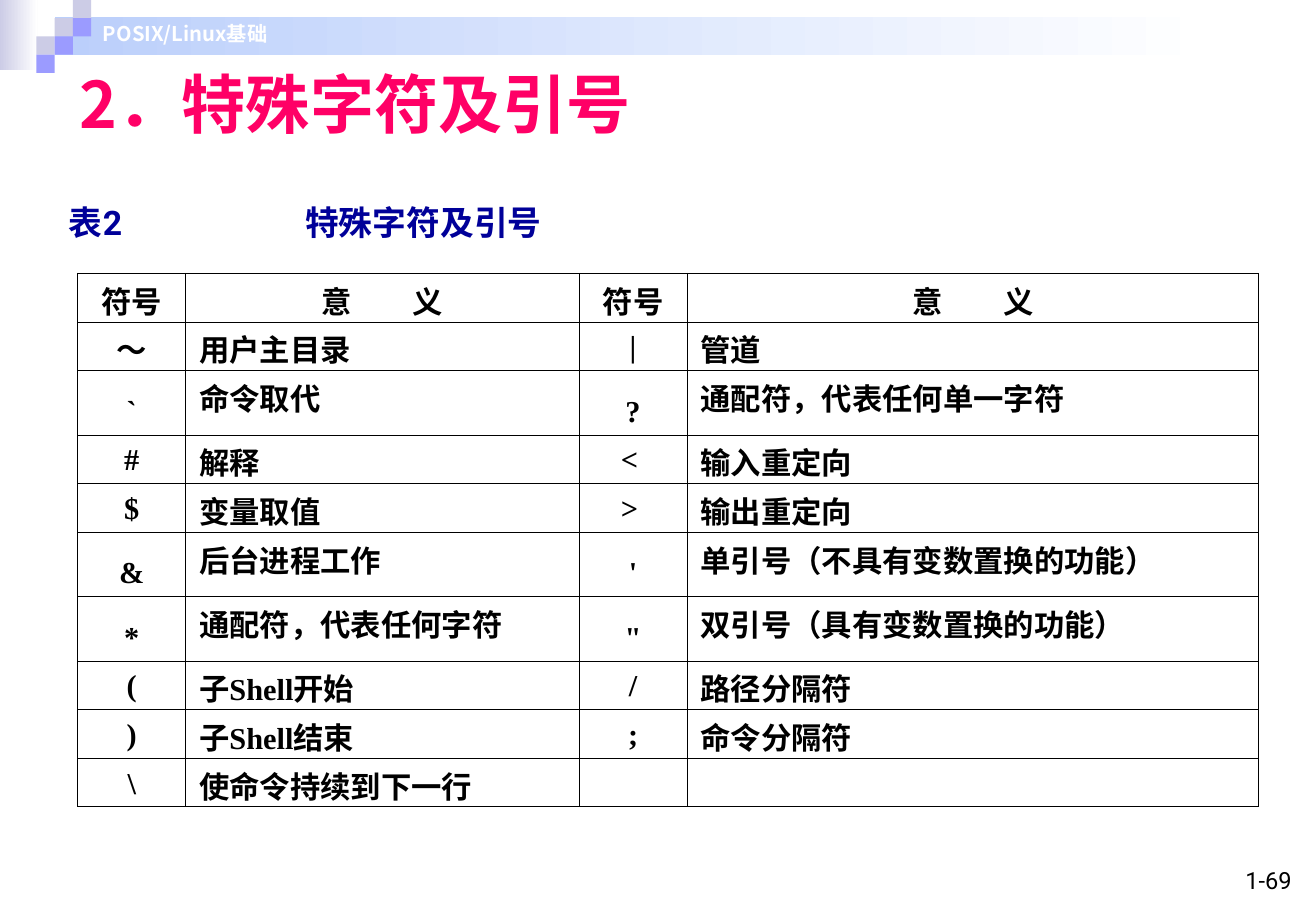
from dataclasses import dataclass

from lxml import etree
from pptx import Presentation
from pptx import util as u
from pptx.dml.color import RGBColor
from pptx.enum import shapes, text
from pptx.oxml import ns


@dataclass(frozen=True)
class Theme:
    title: str = "FF0066"
    caption: str = "000099"
    ink: str = "000000"
    white: str = "FFFFFF"
    pale: str = "CCCCE6"
    violet: str = "9B9BFF"
    band: str = "BBCFFB"
    shadow: str = "808080"
    cjk: str = "Noto Sans CJK SC"
    header_font: str = "Noto Sans CJK JP"
    sans: str = "Roboto"
    serif: str = "Times New Roman"
    title_size: int = 38
    caption_size: int = 20
    cell_size: int = 18
    page_size: int = 14
    header_size: int = 12


T = Theme()
ALIGN = text.PP_ALIGN
ANCHOR = text.MSO_ANCHOR
SQUARE = 0.15
COLUMNS = [0.89, 3.24, 0.89, 4.71]
SHORT_ROW, TALL_ROW = 0.4, 0.53
TALL_ROWS = {2, 5, 6}
HEADINGS = ["符号", "意义", "符号", "意义"]
ROWS = [
    ["～", ["用户主目录"], "|", ["管道"]],
    ["`", ["命令取代"], "?", ["通配符，代表任何单一字符"]],
    ["#", ["解释"], "<", ["输入重定向"]],
    ["$", ["变量取值"], ">", ["输出重定向"]],
    ["&", ["后台进程工作"], "'", ["单引号（不具有变数置换的功能）"]],
    ["*", ["通配符，代表任何字符"], '"', ["双引号（具有变数置换的功能）"]],
    ["(", ["子", "Shell", "开始"], "/", ["路径分隔符"]],
    [")", ["子", "Shell", "结束"], ";", ["命令分隔符"]],
    ["\\", ["使命令持续到下一行"], "", []],
]


def add_xml(parent, tag, **attrs):
    return etree.SubElement(parent, ns.qn(tag), attrs)


def add_run(p, content, size, font, color, bold=True):
    r = p.add_run()
    r.text = content
    r.font.size = u.Pt(size)
    r.font.bold = bold
    r.font.color.rgb = RGBColor.from_string(color)
    r.font.name = font
    east_asian = T.cjk if font in (T.sans, T.serif) else font
    add_xml(r.font._element, "a:ea", typeface=east_asian)
    return r


def add_text(s, box, content, size, font, color, anchor, align=ALIGN.LEFT,
             bold=True, center_tab=None):
    sp = s.shapes.add_textbox(*map(u.Inches, box))
    tf = sp.text_frame
    tf.word_wrap = True
    tf.vertical_anchor = anchor
    p = tf.paragraphs[0]
    p.alignment = align
    if center_tab:
        tabs = add_xml(p._p.get_or_add_pPr(), "a:tabLst")
        add_xml(tabs, "a:tab", pos=str(u.Inches(center_tab)), algn="ctr")
    return add_run(p, content, size, font, color, bold)


def add_text_shadow(r):
    effects = etree.Element(ns.qn("a:effectLst"))
    shadow = add_xml(effects, "a:outerShdw", dist="17961", dir="2700000")
    add_xml(shadow, "a:srgbClr", val=T.shadow)
    r.font._element.find(ns.qn("a:solidFill")).addnext(effects)


def add_rect(s, box, color, fade=False):
    sp = s.shapes.add_shape(shapes.MSO_SHAPE.RECTANGLE, *map(u.Inches, box))
    sp.shadow.inherit = False
    sp.line.fill.background()
    if fade:
        sp.fill.gradient()
        sp.fill.gradient_angle = 0
        for stop, shade, position in zip(sp.fill.gradient_stops, (color, T.white), (0, 1)):
            stop.color.rgb = RGBColor.from_string(shade)
            stop.position = position
    else:
        sp.fill.solid()
        sp.fill.fore_color.rgb = RGBColor.from_string(color)


def add_header(s):
    add_rect(s, (0, 0, 0.31, 0.58), T.pale, fade=True)
    add_rect(s, (0.45, 0.14, 9.55, 0.31), T.band, fade=True)
    for col, row, color in [(3, 1, T.pale), (4, 0, T.pale), (4, 1, T.violet),
                            (2, 2, T.pale), (3, 2, T.violet), (2, 3, T.violet)]:
        add_rect(s, (col * SQUARE, row * SQUARE, SQUARE, SQUARE), color)
    r = add_text(s, (0.75, 0.13, 5.35, 0.3), "POSIX/Linux基础", T.header_size,
                 T.header_font, T.white, ANCHOR.TOP)
    add_text_shadow(r)


def style_cell(cell, anchor, serif):
    cell.margin_left = cell.margin_right = u.Inches(0.11)
    cell.margin_top = u.Inches(0.05 if serif else 0.04)
    cell.margin_bottom = u.Inches(0.05 if serif else 0)
    cell.vertical_anchor = anchor
    tc_pr = cell._tc.get_or_add_tcPr()
    for side in "LRTB":
        ln = add_xml(tc_pr, f"a:ln{side}", w=str(u.Pt(0.45)))
        add_xml(add_xml(ln, "a:solidFill"), "a:srgbClr", val=T.ink)
    cell.fill.background()


def fill_cell(cell, parts, align, anchor):
    fonts = [T.serif if part.isascii() else T.cjk for part in parts]
    style_cell(cell, anchor, fonts == [T.serif])
    p = cell.text_frame.paragraphs[0]
    p.alignment = align
    p.font.size = u.Pt(T.cell_size)
    return [add_run(p, part, T.cell_size, font, T.ink)
            for part, font in zip(parts, fonts)]


def add_symbol_table(s):
    heights = [TALL_ROW if i in TALL_ROWS else SHORT_ROW for i in range(len(ROWS) + 1)]
    box = (0.64, 2.25, sum(COLUMNS), sum(heights))
    table = s.shapes.add_table(len(heights), len(COLUMNS), *map(u.Inches, box)).table
    table.first_row = table.horz_banding = False
    for column, width in zip(table.columns, COLUMNS):
        column.width = u.Inches(width)
    for row, height in zip(table.rows, heights):
        row.height = u.Inches(height)
    for j, heading in enumerate(HEADINGS):
        parts = list(heading) if j % 2 else [heading]
        runs = fill_cell(table.cell(0, j), parts, ALIGN.CENTER, ANCHOR.BOTTOM)
        if j % 2:
            runs[0].font._element.set("spc", str(200 * T.cell_size))
    for i, row in enumerate(ROWS, 1):
        for j, content in enumerate(row):
            cell = table.cell(i, j)
            if j % 2:
                fill_cell(cell, content, ALIGN.JUSTIFY, ANCHOR.TOP)
            else:
                fill_cell(cell, [content] if content else [], ALIGN.CENTER, ANCHOR.BOTTOM)
                if content in ("<", ">"):
                    cell.margin_right = u.Inches(0.17)


def main():
    prs = Presentation()
    prs.slide_width, prs.slide_height = u.Inches(10.84), u.Inches(7.5)
    s = prs.slides.add_slide(prs.slide_layouts[6])
    add_header(s)
    add_text(s, (0.47, 1.61, 9.9, 0.44), "表2\t特殊字符及引号", T.caption_size,
             T.sans, T.caption, ANCHOR.MIDDLE, center_tab=2.92)
    add_text(s, (0.56, 0.44, 9.62, 0.77), "2．特殊字符及引号", T.title_size,
             T.cjk, T.title, ANCHOR.BOTTOM)
    add_symbol_table(s)
    add_text(s, (9.51, 7.08, 1.23, 0.33), "1-69", T.page_size, T.sans, T.ink,
             ANCHOR.BOTTOM, ALIGN.RIGHT, bold=False)
    prs.save("out.pptx")


if __name__ == "__main__":
    main()
